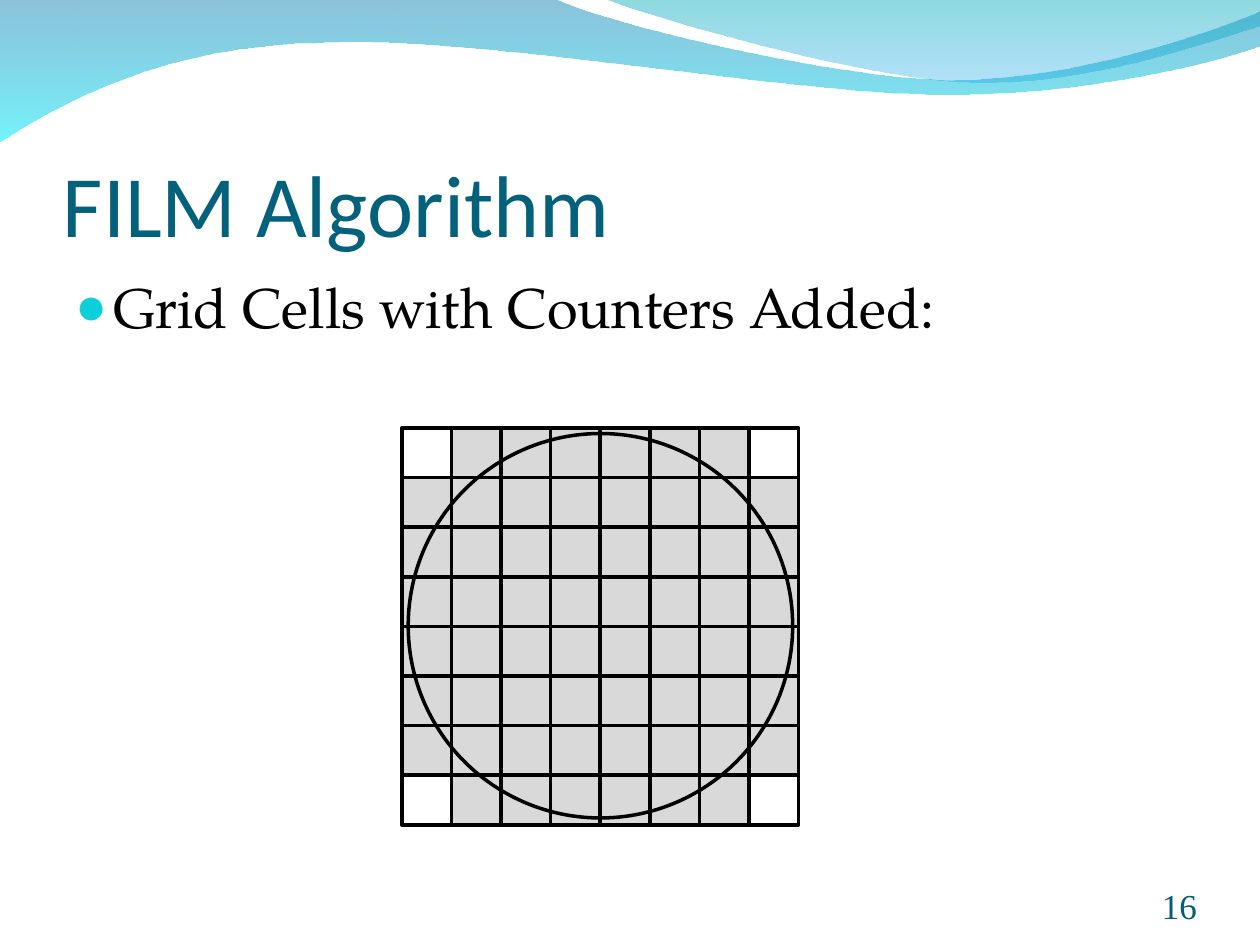
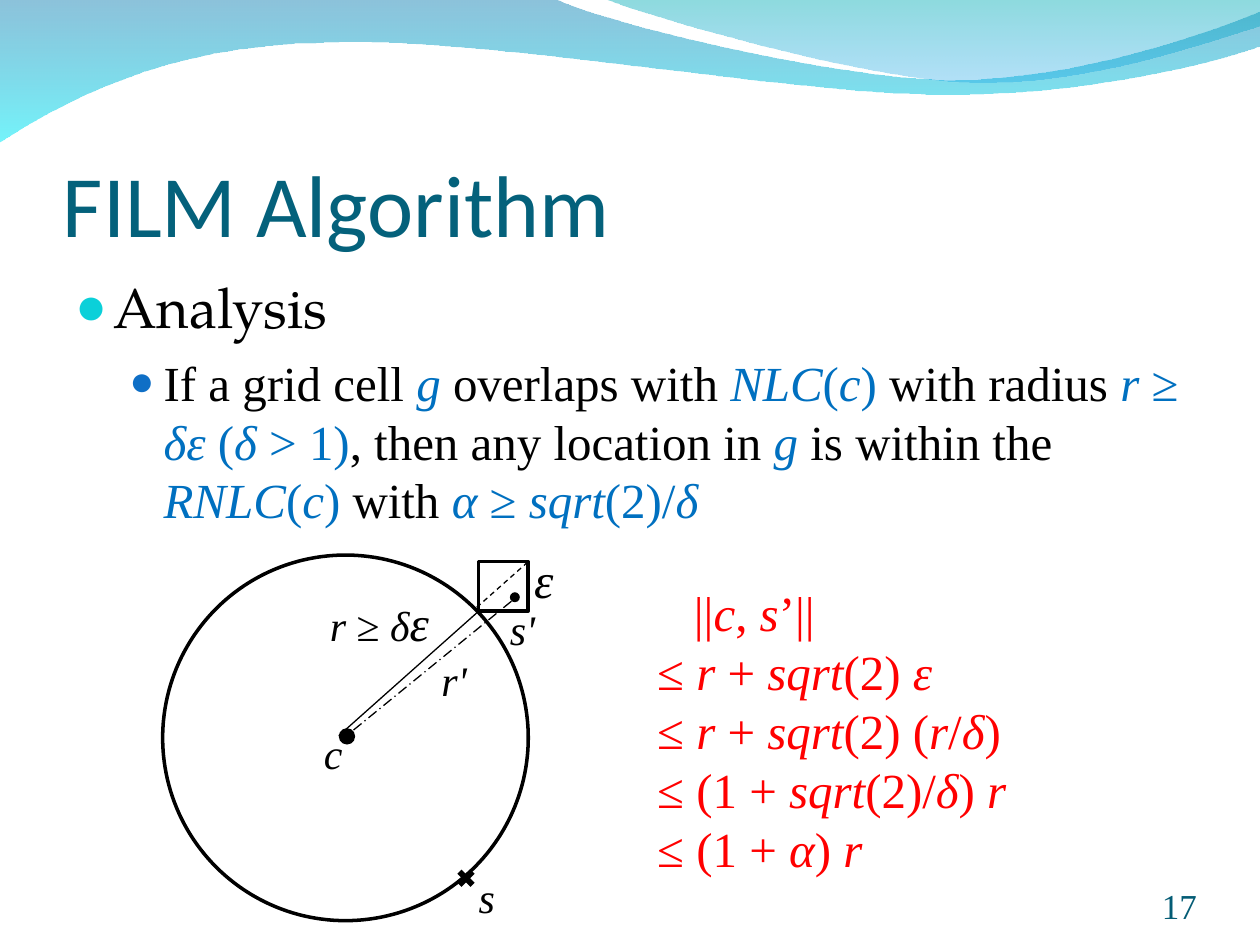
from dataclasses import dataclass, replace
from itertools import product
from typing import Optional

from lxml.etree import SubElement
from pptx import Presentation
from pptx.dml.color import RGBColor
from pptx.enum.dml import MSO_LINE as Dash
from pptx.enum.shapes import MSO_CONNECTOR as Connector, MSO_SHAPE as Preset
from pptx.enum.text import MSO_ANCHOR as Anchor, PP_ALIGN as Align
from pptx.oxml.ns import qn
from pptx.util import Cm, Pt

BLACK, WHITE, GREY = "000000", "FFFFFF", "D9D9D9"
TITLE_TEAL, NUMBER_TEAL = "04617B", "045C75"
TERM_BLUE, PROOF_RED = "0070C0", "FF0000"
SERIF = "Times New Roman"

Point = tuple[float, float]
Box = tuple[float, float, float, float]


@dataclass(frozen=True)
class TextStyle:
    font: str
    size: float
    color: str


@dataclass(frozen=True)
class Bullet:
    style: TextStyle
    level: int
    indent: float
    hanging: float
    color: str
    percent: int
    space_before: float


@dataclass(frozen=True)
class Stop:
    color: str
    opacity: int


@dataclass(frozen=True)
class Wave:
    start: Point
    segments: list[tuple[Point, ...]]
    stops: tuple[Stop, Stop]


@dataclass(frozen=True)
class Mark:
    preset: Preset
    box: Box
    fill: Optional[str] = None
    outline: Optional[str] = BLACK


@dataclass(frozen=True)
class Segment:
    begin: Point
    end: Point
    dash: Optional[Dash] = None


@dataclass(frozen=True)
class Label:
    text: str
    box: Box
    size: float = 24


TITLE = TextStyle("Calibri", 50, TITLE_TEAL)
NUMBER = TextStyle(SERIF, 20, NUMBER_TEAL)
STATEMENT = TextStyle(SERIF, 28, BLACK)
TERM = replace(STATEMENT, color=TERM_BLUE)
PROOF = replace(STATEMENT, color=PROOF_RED)
TOPIC = Bullet(TextStyle("TeX Gyre Pagella", 32, BLACK), 0, 0.76, 0.76, "0BD0D9", 95, 0)
CLAIM = Bullet(STATEMENT, 1, 1.78, 0.69, "0F6FC6", 85, 7)

WAVES = [
    Wave((0, -0.03), [
        ((11.18, -0.03),),
        ((12.09, 0.43), (16.87, 1.6), (19.25, 1.6)),
        ((21.67, 1.6), (24.33, 0.66), (25.4, 0.23)),
        ((25.43, 0.91),),
        ((24.97, 1.12), (22.1, 1.93), (18.95, 1.9)),
        ((15.8, 1.9), (9.7, 0.71), (6.53, 0.86)),
        ((3.28, 0.89), (1.17, 2.11), (-0.03, 2.87)),
    ], (Stop("0079AF", 45), Stop("00EBF8", 55))),
    Wave((12.17, -0.03), [
        ((12.93, 0.28), (17.32, 1.57), (19.53, 1.65)),
        ((21.87, 1.75), (24.41, 0.81), (25.4, 0.53)),
        ((25.4, 0),),
    ], (Stop("00ADB6", 45), Stop("009BE5", 30))),
]

GRID_SIDE, CELL = 8, 1.0
GRID_LEFT, GRID_TOP = 8.1, 8.63

CIRCLE_MARKS = [
    Mark(Preset.OVAL, (3.28, 11.19, 7.37, 7.37)),
    Mark(Preset.OVAL, (6.83, 14.68, 0.33, 0.33), BLACK, None),
    Mark(Preset.RECTANGLE, (9.65, 11.32, 1, 1)),
    Mark(Preset.OVAL, (10.28, 11.94, 0.2, 0.2), BLACK, None),
    Mark(Preset.MATH_MULTIPLY, (9.14, 17.45, 0.51, 0.51), BLACK, None),
]
CIRCLE_SEGMENTS = [
    Segment((9.65, 12.32), (6.83, 14.83)),
    Segment((10.64, 11.33), (9.58, 12.27), Dash.DASH),
    Segment((10.31, 12.12), (7.11, 14.73), Dash.LONG_DASH_DOT),
]
CIRCLE_LABELS = [
    Label("*ε*", (10.52, 10.95, 0.86, 1.45), 28),
    Label("*r* ≥ *δ*~*ε*", (6.4, 11.81, 3.25, 1.45)),
    Label("*r'*", (8.65, 13.06, 1.24, 2.29)),
    Label("*c*", (6.28, 14.53, 1.24, 1.27)),
    Label("*s*", (9.4, 17.44, 1.24, 1.27)),
    Label("*s'*", (10.03, 12.04, 1.24, 1.27)),
]
PROOF_LINES = [
    "||*c*, *s*’||",
    "≤ *r* + *sqrt*(2) *ε*",
    "≤ *r* + *sqrt*(2) (*r*/*δ*)",
    "≤ (1 + *sqrt*(2)/*δ*) *r*",
    "≤ (1 + *α*) *r*",
]
ANALYSIS = (
    "If a grid cell ~*g*~ overlaps with ~*NLC*(*c*)~ with radius "
    "~*r* ≥ *δε* (*δ* > 1)~, then any location in ~*g*~ is within the "
    "~*RNLC*(*c*)~ with ~*α* ≥ *sqrt*(2)/*δ*~"
)


def rgb(color: str) -> RGBColor:
    return RGBColor.from_string(color)


def lengths(values) -> list:
    return [Cm(value) for value in values]


def write(paragraph, marked: str, plain: TextStyle, accent: Optional[TextStyle] = None) -> None:
    for chunk_index, chunk in enumerate(marked.split("~")):
        style = accent if chunk_index % 2 else plain
        for part_index, part in enumerate(chunk.split("*")):
            if part:
                run = paragraph.add_run()
                run.text = part
                run.font.name = style.font
                run.font.size = Pt(style.size)
                run.font.color.rgb = rgb(style.color)
                run.font.italic = part_index % 2 == 1


def add_frame(slide, box: Box, insets: Box = (0.25, 0.13, 0.25, 0.13), anchor: Anchor = Anchor.TOP):
    frame = slide.shapes.add_textbox(*lengths(box)).text_frame
    frame.word_wrap = True
    frame.vertical_anchor = anchor
    (frame.margin_left, frame.margin_top,
     frame.margin_right, frame.margin_bottom) = lengths(insets)
    return frame


def next_paragraph(frame, index: int):
    return frame.add_paragraph() if index else frame.paragraphs[0]


def apply_bullet(paragraph, bullet: Bullet) -> None:
    paragraph.level = bullet.level
    if bullet.space_before:
        paragraph.space_before = Pt(bullet.space_before)
    properties = paragraph._p.get_or_add_pPr()
    properties.set("marL", str(Cm(bullet.indent)))
    properties.set("indent", str(-Cm(bullet.hanging)))
    SubElement(SubElement(properties, qn("a:buClr")), qn("a:srgbClr"), val=bullet.color)
    SubElement(properties, qn("a:buSzPct"), val=str(bullet.percent * 1000))
    SubElement(properties, qn("a:buFont"), typeface=SERIF)
    SubElement(properties, qn("a:buChar"), char="●")


def bend_segments(band, segments: list[tuple[Point, ...]]) -> None:
    straights = list(band._element.spPr.iter(qn("a:lnTo")))
    for straight, (*controls, _) in zip(straights, segments):
        if controls:
            straight.tag = qn("a:cubicBezTo")
        for index, (x, y) in enumerate(controls):
            control = SubElement(straight, qn("a:pt"),
                                 x=str(Cm(x) - band.left), y=str(Cm(y) - band.top))
            straight.insert(index, control)


def draw_wave(slide, wave: Wave) -> None:
    builder = slide.shapes.build_freeform(*lengths(wave.start))
    builder.add_line_segments([tuple(lengths(segment[-1])) for segment in wave.segments])
    band = builder.convert_to_shape()
    bend_segments(band, wave.segments)
    band.shadow.inherit = False
    band.line.fill.background()
    band.fill.gradient()
    band.fill.gradient_angle = 270
    for gradient_stop, stop in zip(band.fill.gradient_stops, wave.stops):
        gradient_stop.color.rgb = rgb(stop.color)
    for color, stop in zip(band._element.spPr.iter(qn("a:srgbClr")), wave.stops):
        SubElement(color, qn("a:alpha"), val=str(stop.opacity * 1000))


def draw_mark(slide, mark: Mark) -> None:
    shape = slide.shapes.add_shape(mark.preset, *lengths(mark.box))
    shape.shadow.inherit = False
    if mark.fill:
        shape.fill.solid()
        shape.fill.fore_color.rgb = rgb(mark.fill)
    else:
        shape.fill.background()
    if mark.outline:
        shape.line.color.rgb = rgb(mark.outline)
        shape.line.width = Pt(2)
    else:
        shape.line.fill.background()


def draw_segment(slide, segment: Segment) -> None:
    line = slide.shapes.add_connector(
        Connector.STRAIGHT, *lengths(segment.begin), *lengths(segment.end))
    line.line.color.rgb = rgb(BLACK)
    line.line.width = Pt(0.75)
    if segment.dash:
        line.line.dash_style = segment.dash
    SubElement(line._element.spPr, qn("a:effectLst"))


def draw_label(slide, label: Label) -> None:
    frame = add_frame(slide, label.box)
    write(frame.paragraphs[0], label.text, replace(STATEMENT, size=label.size), STATEMENT)


def add_film_slide(deck, number: int, content: list[tuple[Bullet, str]]):
    slide = deck.slides.add_slide(deck.slide_layouts[6])
    slide.background.fill.solid()
    slide.background.fill.fore_color.rgb = rgb(WHITE)
    for wave in WAVES:
        draw_wave(slide, wave)
    title = add_frame(slide, (1.27, 1.96, 22.86, 3.18), (0, 0.13, 0, 0), Anchor.BOTTOM)
    write(title.paragraphs[0], "FILM Algorithm", TITLE)
    page = add_frame(slide, (22.02, 17.65, 2.11, 1.02), (0, 0, 0, 0), Anchor.BOTTOM)
    page.paragraphs[0].alignment = Align.RIGHT
    write(page.paragraphs[0], str(number), NUMBER)
    body = add_frame(slide, (1.27, 5.37, 23.52, 11.96))
    for index, (bullet, text) in enumerate(content):
        paragraph = next_paragraph(body, index)
        apply_bullet(paragraph, bullet)
        write(paragraph, text, bullet.style, TERM)
    return slide


def draw_counter_grid(slide) -> None:
    ends = (0, GRID_SIDE - 1)
    for row, column in product(range(GRID_SIDE), repeat=2):
        is_corner = row in ends and column in ends
        box = (GRID_LEFT + column * CELL, GRID_TOP + row * CELL, CELL, CELL)
        draw_mark(slide, Mark(Preset.RECTANGLE, box, None if is_corner else GREY))
    draw_mark(slide, Mark(Preset.OVAL, (8.23, 8.74, 7.75, 7.75)))


def draw_circle_proof(slide) -> None:
    for mark in CIRCLE_MARKS:
        draw_mark(slide, mark)
    for segment in CIRCLE_SEGMENTS:
        draw_segment(slide, segment)
    for label in CIRCLE_LABELS:
        draw_label(slide, label)
    proof = add_frame(slide, (13, 11.62, 9.91, 6.2))
    for index, text in enumerate(PROOF_LINES):
        write(next_paragraph(proof, index), text, PROOF)
    proof.paragraphs[0]._p.get_or_add_pPr().set("marL", str(Cm(0.74)))


def main() -> None:
    deck = Presentation()
    deck.slide_width, deck.slide_height = Cm(25.4), Cm(19.05)
    draw_counter_grid(add_film_slide(deck, 16, [(TOPIC, "Grid Cells with Counters Added:")]))
    draw_circle_proof(add_film_slide(deck, 17, [(TOPIC, "Analysis"), (CLAIM, ANALYSIS)]))
    deck.save("out.pptx")


if __name__ == "__main__":
    main()
